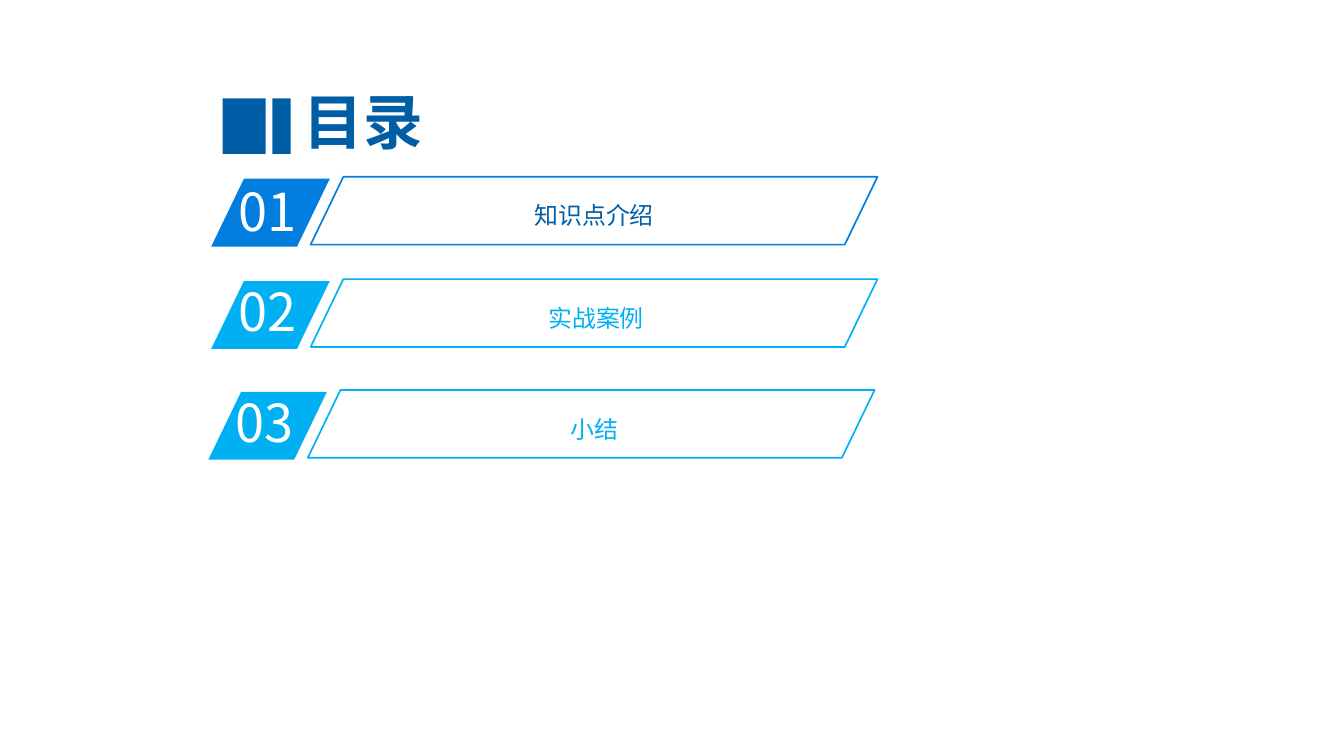
import pptx
import pptx.util
import pptx.dml.color
import pptx.enum.shapes
import pptx.enum.text
import pptx.oxml.ns
import lxml.etree

Inches = pptx.util.Inches
SHAPE = pptx.enum.shapes.MSO_SHAPE
ALIGN = pptx.enum.text.PP_ALIGN
ANCHOR = pptx.enum.text.MSO_ANCHOR
FONT = "Noto Sans CJK SC"
COLORS = {"navy": "005EA6", "blue": "007DDD", "sky": "00B0F2", "white": "FFFFFF"}
SLANT = 0.482
ROW_HEIGHT = 0.71


def rgb(name):
    return pptx.dml.color.RGBColor.from_string(COLORS[name])


def add_text(s, text, left, top, width, height, size, color, bold=False,
             align=ALIGN.LEFT, anchor=ANCHOR.TOP, spacing=None, inset=0.1):
    tb = s.shapes.add_textbox(Inches(left), Inches(top), Inches(width), Inches(height))
    tf = tb.text_frame
    tf.word_wrap = True
    tf.vertical_anchor = anchor
    tf.margin_left = tf.margin_right = Inches(inset)
    p = tf.paragraphs[0]
    p.alignment = align
    if spacing:
        p.line_spacing = spacing
    r = p.add_run()
    r.text = text
    r.font.name = FONT
    r.font.size = pptx.util.Pt(size)
    r.font.bold = bold
    r.font.color.rgb = rgb(color)
    ea = lxml.etree.SubElement(r._r.get_or_add_rPr(), pptx.oxml.ns.qn("a:ea"))
    ea.set("typeface", FONT)


def add_block(s, kind, left, top, width, height, fill=None, line=None):
    sp = s.shapes.add_shape(kind, Inches(left), Inches(top), Inches(width), Inches(height))
    sp.shadow.inherit = False
    if kind == SHAPE.PARALLELOGRAM:
        sp.adjustments[0] = SLANT
    if fill:
        sp.fill.solid()
        sp.fill.fore_color.rgb = rgb(fill)
    else:
        sp.fill.background()
    if line:
        sp.line.color.rgb = rgb(line)
        sp.line.width = pptx.util.Pt(1.25)
    else:
        sp.line.fill.background()


def add_title(s, text):
    for left, width in ((2.33, 0.45), (2.85, 0.19)):
        add_block(s, SHAPE.RECTANGLE, left, 1.03, width, 0.58, fill="navy")
    add_text(s, text, 2.07, 0.88, 3.47, 0.76, size=45, color="navy", bold=True,
             align=ALIGN.CENTER, anchor=ANCHOR.MIDDLE)


def add_entry(s, number, label, left, top, number_top, label_left, label_top,
              color, label_color):
    add_block(s, SHAPE.PARALLELOGRAM, left, top, 1.24, ROW_HEIGHT, fill=color)
    add_text(s, f"{number:02}", left + 0.19, number_top, 1.18, 0.76, size=39.4, color="white")
    add_text(s, label, label_left, label_top, 4.35, 0.49, size=18, color=label_color,
             align=ALIGN.CENTER, spacing=1.5, inset=0.11)
    add_block(s, SHAPE.PARALLELOGRAM, left + 1.04, top - 0.02, 5.93, ROW_HEIGHT, line=color)


def main():
    prs = pptx.Presentation()
    prs.slide_width = Inches(14.06)
    prs.slide_height = Inches(7.91)
    s = prs.slides.add_slide(prs.slide_layouts[6])
    add_title(s, "目录")
    entries = (
        ("知识点介绍", 2.21, 1.87, 1.83, 4.04, 1.9, "blue", "navy"),
        ("实战案例", 2.21, 2.94, 2.87, 4.06, 2.98, "sky", "sky"),
        ("小结", 2.18, 4.1, 4.03, 4.04, 4.14, "sky", "sky"),
    )
    for number, entry in enumerate(entries, 1):
        add_entry(s, number, *entry)
    prs.save("out.pptx")


if __name__ == "__main__":
    main()
